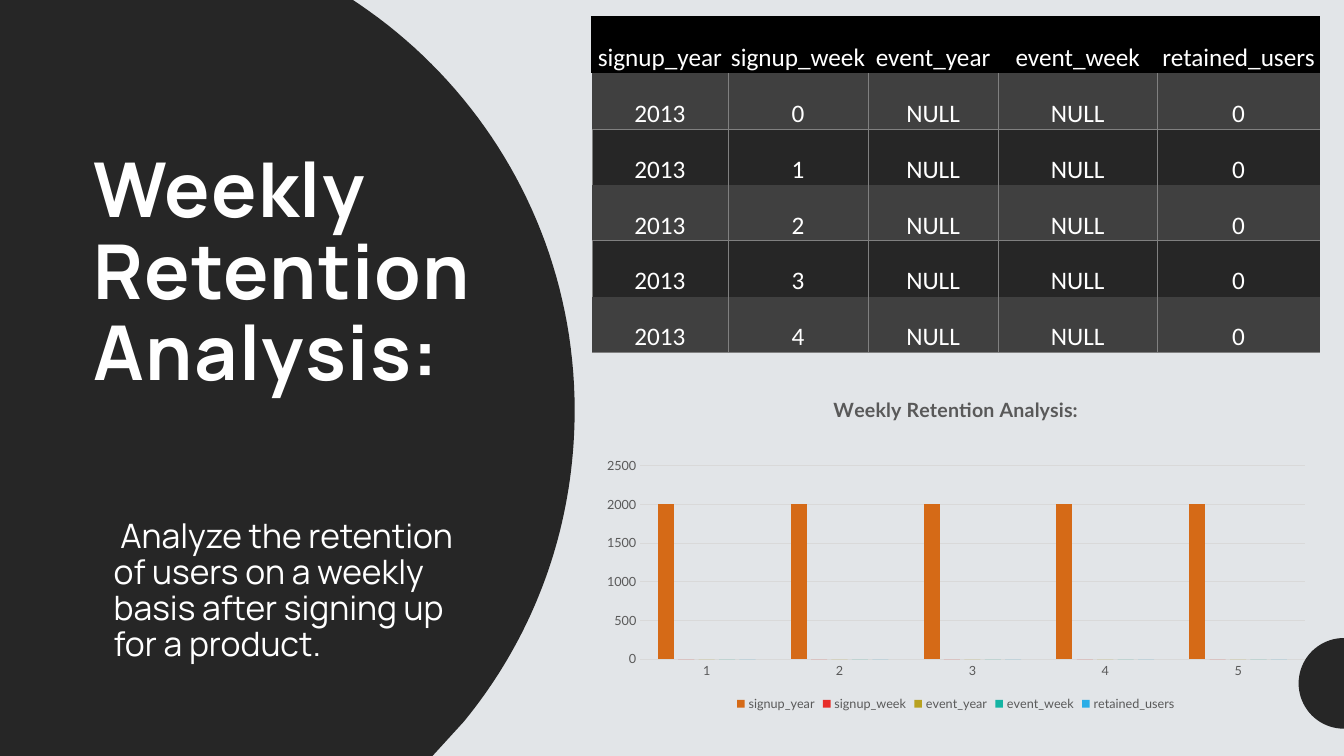
import math
from lxml import etree
from pptx import Presentation
from pptx.chart.data import CategoryChartData
from pptx.dml.color import RGBColor
from pptx.enum.chart import XL_CHART_TYPE, XL_LEGEND_POSITION, XL_TICK_MARK
from pptx.enum.text import MSO_ANCHOR, MSO_AUTO_SIZE, PP_ALIGN
from pptx.oxml import parse_xml
from pptx.oxml.ns import nsdecls, qn
from pptx.util import Inches, Pt

# Content
TITLE = "Weekly Retention Analysis:"
SUMMARY = ("\u00a0Analyze the retention of users on a weekly basis "
           "after signing up for a product.")
HEADERS = ["signup_year", "signup_week", "event_year", "event_week", "retained_users"]
ROWS = [(2013, week, None, None, 0) for week in range(5)]
COLUMN_WIDTHS = [1.35, 1.39, 1.29, 1.58, 1.61]
TABLE_HEIGHT = 3.33
COLORS = {
    "background": "E2E5E8", "dark": "262626", "band": "404040", "header": "000000",
    "border": "808080", "white": "FFFFFF", "label": "595959", "grid": "D9D9D9",
}
SERIES_COLORS = ["D56A17", "E72D29", "B8A221", "14B4A3", "29ADE7"]


def rgb(name):
    return RGBColor.from_string(COLORS[name])


def style_font(font, name, size, color, bold=False):
    font.name, font.size, font.bold = name, Pt(size), bold
    font.color.rgb = rgb(color)


def bezier(a, b, c, d, steps=40):
    """Points along a cubic curve, without its start."""
    for i in range(1, steps + 1):
        t = i / steps
        weights = ((1 - t) ** 3, 3 * t * (1 - t) ** 2, 3 * t * t * (1 - t), t ** 3)
        yield tuple(sum(w * p[k] for w, p in zip(weights, (a, b, c, d))) for k in (0, 1))


def add_outline(points):
    points = [(Inches(x), Inches(y)) for x, y in points]
    builder = slide.shapes.build_freeform(*points[0])
    builder.add_line_segments(points[1:], close=True)
    shape = builder.convert_to_shape()
    shape.shadow.inherit = False
    shape.fill.solid()
    shape.fill.fore_color.rgb = rgb("dark")
    shape.line.fill.background()
    return shape


def set_borders(cell, borders):
    """Borders maps a side to (colour, points); other sides get no line."""
    props = cell._tc.get_or_add_tcPr()
    for side in "LRTB":
        color, width = borders.get(side, (None, 0))
        line = etree.SubElement(props, qn(f"a:ln{side}"), w=str(Pt(width)))
        if color:
            fill = etree.SubElement(line, qn("a:solidFill"))
            etree.SubElement(fill, qn("a:srgbClr"), val=COLORS[color])
        else:
            etree.SubElement(line, qn("a:noFill"))


prs = Presentation()
prs.slide_width, prs.slide_height = Inches(13.33), Inches(7.5)
slide = prs.slides.add_slide(prs.slide_layouts[5])
slide.background.fill.solid()
slide.background.fill.fore_color.rgb = rgb("background")

# Dark panel, behind the title
top, middle, bottom = (3.56, 0.04), (5.7, 4.07), (4.6, 7.16)
panel = add_outline([
    (0, 0), (3.5, 0), top,
    *bezier(top, (4.86, 0.92), (5.7, 2.4), middle),
    *bezier(middle, (5.7, 5.25), (5.29, 6.32), bottom),
    (4.29, 7.5), (0, 7.5),
])
title = slide.shapes.title
title.element.addprevious(panel.element)

# Title
title.left, title.top = Inches(0.83), Inches(1.23)
title.width, title.height = Inches(4.42), Inches(3.66)
frame = title.text_frame
frame.text = TITLE
frame.word_wrap, frame.auto_size = True, MSO_AUTO_SIZE.NONE
frame.vertical_anchor = MSO_ANCHOR.BOTTOM
frame.margin_bottom = Inches(0.95)
heading = frame.paragraphs[0]
heading.alignment, heading.line_spacing = PP_ALIGN.LEFT, 0.9
style_font(heading.runs[0].font, "Manrope", 54, "white", True)
heading.runs[0].font._element.set("spc", "100")

# Summary
box = slide.shapes.add_textbox(Inches(0.83), Inches(5.1), Inches(3.77), Inches(1.23))
box.text_frame.word_wrap = True
summary = box.text_frame.paragraphs[0]
summary.text = SUMMARY
summary.line_spacing = 0.9
summary.space_before = summary.space_after = Pt(4)
summary._p.get_or_add_pPr().set("marL", str(Inches(0.2)))
style_font(summary.runs[0].font, "Manrope", 24, "white")

# Half disc at the right edge
RADIUS = 0.45
angles = [math.pi * (0.5 + i / 40) for i in range(41)]
add_outline([(13.33 + RADIUS * math.cos(a), 6.78 + RADIUS * math.sin(a)) for a in angles])

# Table
grid = [HEADERS] + ROWS
table = slide.shapes.add_table(
    len(grid), len(HEADERS), Inches(5.87), Inches(0.17),
    Inches(sum(COLUMN_WIDTHS)), Inches(TABLE_HEIGHT)).table
for column, width in zip(table.columns, COLUMN_WIDTHS):
    column.width = Inches(width)
thin, thick = ("border", 0.5), ("header", 1.5)
for r, values in enumerate(grid):
    table.rows[r].height = Inches(TABLE_HEIGHT / len(grid))
    for c, value in enumerate(values):
        cell = table.cell(r, c)
        borders = {}
        if r == 0:
            borders["T"] = thick
            if c == 0:
                borders["L"] = thick
        else:
            if c > 0 or r % 2 == 0:
                borders["L"] = thin
            if c < len(HEADERS) - 1:
                borders["R"] = thin
            borders["B" if r % 2 else "T"] = thin
        set_borders(cell, borders)
        cell.fill.solid()
        cell.fill.fore_color.rgb = rgb("header" if r == 0 else "band" if r % 2 else "dark")
        cell.vertical_anchor = MSO_ANCHOR.BOTTOM
        cell.margin_left = cell.margin_right = cell.margin_top = Inches(0.01)
        cell.margin_bottom = 0
        paragraph = cell.text_frame.paragraphs[0]
        paragraph.text = "NULL" if value is None else str(value)
        paragraph.alignment = PP_ALIGN.CENTER
        style_font(paragraph.runs[0].font, "Calibri", 18, "white")

# Chart of the table's columns, rounded to tens
CHART_WIDTH, CHART_HEIGHT = 7.22, 3.33
data = CategoryChartData()
data.categories = [str(i + 1) for i in range(len(ROWS))]
for name, values in zip(HEADERS, zip(*ROWS)):
    data.add_series(name, [round(v or 0, -1) for v in values])
chart = slide.shapes.add_chart(
    XL_CHART_TYPE.COLUMN_CLUSTERED, Inches(5.87), Inches(3.77),
    Inches(CHART_WIDTH), Inches(CHART_HEIGHT), data).chart
style_font(chart.font, "Lato", 10, "header")
chart.has_title = True
chart.chart_title.text_frame.text = TITLE
chart.chart_title.include_in_layout = False
style_font(chart.chart_title.text_frame.paragraphs[0].runs[0].font, "Lato", 14, "label", True)
chart.has_legend = True
chart.legend.position = XL_LEGEND_POSITION.BOTTOM
chart.legend.include_in_layout = False
style_font(chart.legend.font, "Lato", 9, "label")

plot = chart.plots[0]
plot.gap_width, plot.overlap, plot.vary_by_categories = 219, -27, False
for series, color in zip(plot.series, SERIES_COLORS):
    series.format.fill.solid()
    series.format.fill.fore_color.rgb = RGBColor.from_string(color)

for axis in (chart.category_axis, chart.value_axis):
    axis.major_tick_mark = axis.minor_tick_mark = XL_TICK_MARK.NONE
    style_font(axis.tick_labels.font, "Lato", 9, "label")
chart.value_axis.format.line.fill.background()
chart.value_axis.minimum_scale, chart.value_axis.maximum_scale = 0, 2500
chart.value_axis.major_unit = 500
for line in (chart.category_axis.format.line, chart.value_axis.major_gridlines.format.line):
    line.color.rgb, line.width = rgb("grid"), Pt(0.75)

# Fixed plot area in inches, leaving room under the chart title
area = chart._chartSpace.chart.plotArea
for old in area.findall(qn("c:layout")):
    area.remove(old)
sizes = {"x": 0.48 / CHART_WIDTH, "y": 0.85 / CHART_HEIGHT,
         "w": 6.59 / CHART_WIDTH, "h": 1.92 / CHART_HEIGHT}
parts = "".join(f'<c:{key} val="{value:.4f}"/>' for key, value in sizes.items())
area.insert(0, parse_xml(
    f'<c:layout {nsdecls("c")}><c:manualLayout><c:layoutTarget val="inner"/>'
    f'<c:xMode val="edge"/><c:yMode val="edge"/>{parts}</c:manualLayout></c:layout>'))

prs.save("out.pptx")
